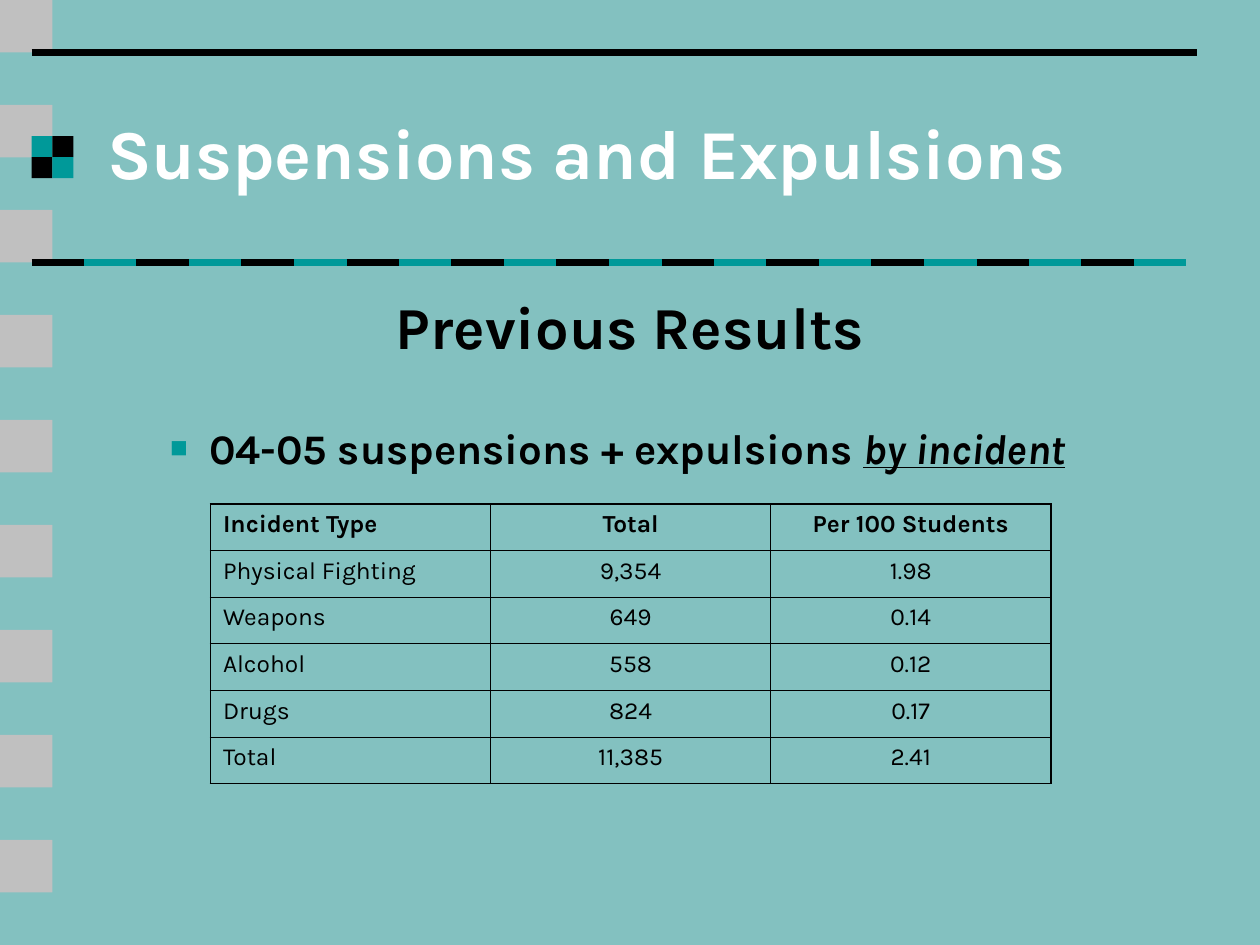
from dataclasses import dataclass

from lxml import etree
from pptx import Presentation
from pptx.dml.color import RGBColor
from pptx.enum.shapes import MSO_CONNECTOR, MSO_SHAPE
from pptx.enum.text import MSO_ANCHOR, MSO_AUTO_SIZE, PP_ALIGN
from pptx.oxml.ns import qn
from pptx.util import Inches, Pt

LEFT, CENTER = PP_ALIGN.LEFT, PP_ALIGN.CENTER
MIDDLE, NO_AUTOFIT = MSO_ANCHOR.MIDDLE, MSO_AUTO_SIZE.NONE
RECTANGLE, STRAIGHT = MSO_SHAPE.RECTANGLE, MSO_CONNECTOR.STRAIGHT

FONT = "Karla"
COLORS = {
    "background": "83C1C0",
    "edge": "C0C0C0",
    "accent": "009999",
    "dark": "000000",
    "title": "FFFFFF",
}
STEP = 5 / 12
CHECK = STEP * 0.4
MARGIN = 0.25
OUTER_BORDER, INNER_BORDER = 1.08, 0.45

INCIDENTS = [
    ("Incident Type", "Total", "Per 100 Students"),
    ("Physical Fighting", "9,354", "1.98"),
    ("Weapons", "649", "0.14"),
    ("Alcohol", "558", "0.12"),
    ("Drugs", "824", "0.17"),
    ("Total", "11,385", "2.41"),
]


@dataclass
class Square:
    left: float
    top: float
    size: float
    color: str


@dataclass
class Rule:
    start: float
    end: float
    top: float
    color: str


def rgb(name: str) -> RGBColor:
    return RGBColor.from_string(COLORS[name])


def draw_square(slide, square: Square) -> None:
    left, top, size = (Inches(v) for v in (square.left, square.top, square.size))
    shape = slide.shapes.add_shape(RECTANGLE, left, top, size, size)
    shape.shadow.inherit = False
    shape.fill.solid()
    shape.fill.fore_color.rgb = rgb(square.color)
    shape.line.fill.background()


def draw_rule(slide, rule: Rule) -> None:
    top = Inches(rule.top)
    line = slide.shapes.add_connector(
        STRAIGHT, Inches(rule.start), top, Inches(rule.end), top)
    line.line.color.rgb = rgb(rule.color)
    line.line.width = Pt(4.5)
    etree.SubElement(line._element.spPr, qn("a:effectLst"))


def add_text(paragraph, text: str, color: str = "dark", **formats) -> None:
    run = paragraph.add_run()
    run.text = text
    run.font.color.rgb = rgb(color)
    for name, value in {"name": FONT, "bold": True, **formats}.items():
        setattr(run.font, name, value)


def set_bullet(paragraph, indent: float = 0, hanging: float = 0,
               char: str = "") -> None:
    """Set the indents and a square bullet, or no bullet when char is empty."""
    props = paragraph._p.get_or_add_pPr()
    props.set("marL", str(Inches(indent)))
    props.set("indent", str(-Inches(hanging)))
    if not char:
        etree.SubElement(props, qn("a:buNone"))
        return
    color = etree.SubElement(props, qn("a:buClr"))
    etree.SubElement(color, qn("a:srgbClr"), val=COLORS["accent"])
    etree.SubElement(props, qn("a:buSzPct"), val="70000")
    etree.SubElement(props, qn("a:buChar"), char=char)


def place(shape, left: float, top: float, width: float, height: float) -> None:
    shape.left, shape.top = Inches(left), Inches(top)
    shape.width, shape.height = Inches(width), Inches(height)
    shape.text_frame.auto_size = NO_AUTOFIT
    shape.text_frame.word_wrap = True


def set_borders(cell, widths: dict[str, float]) -> None:
    props = cell._tc.get_or_add_tcPr()
    for position, (side, width) in enumerate(widths.items()):
        border = etree.Element(qn(f"a:{side}"), w=str(Pt(width)))
        fill = etree.SubElement(border, qn("a:solidFill"))
        etree.SubElement(fill, qn("a:srgbClr"), val=COLORS["dark"])
        props.insert(position, border)


def draw_decoration(slide) -> None:
    for i in range(9):
        draw_square(slide, Square(0, 2 * i * STEP, STEP, "edge"))
    draw_rule(slide, Rule(MARGIN, 9.5, STEP, "dark"))
    for row in range(2):
        for col in range(2):
            color = "accent" if row == col else "dark"
            draw_square(slide, Square(MARGIN + col * CHECK, 1.08 + row * CHECK,
                                      CHECK, color))
    for i in range(22):
        start = MARGIN + i * STEP
        color = "accent" if i % 2 else "dark"
        draw_rule(slide, Rule(start, start + STEP, 5 * STEP, color))


def write_title(title) -> None:
    place(title, 0.75, 0.58, 8.5, 1.25)
    title.text_frame.vertical_anchor = MIDDLE
    heading = title.text_frame.paragraphs[0]
    heading.alignment = LEFT
    add_text(heading, "Suspensions and Expulsions", "title", size=Pt(40))


def write_body(body) -> None:
    place(body, 0.75, 2.25, 8.5, 4.5)
    subtitle = body.text_frame.paragraphs[0]
    set_bullet(subtitle)
    subtitle.alignment = CENTER
    subtitle.space_before = Pt(0)
    add_text(subtitle, "Previous Results", size=Pt(34))

    topic = body.text_frame.add_paragraph()
    topic.level = 1
    set_bullet(topic, 0.81, 0.31, "■")
    topic.space_before = Pt(35)
    add_text(topic, "04-05 suspensions + expulsions ", size=Pt(24))
    add_text(topic, "by incident", size=Pt(24), italic=True, underline=True)


def draw_incident_table(slide) -> None:
    row_count, col_count = len(INCIDENTS), len(INCIDENTS[0])
    table = slide.shapes.add_table(
        row_count, col_count, Inches(1.67), Inches(4),
        Inches(6.67), Inches(0.37 * row_count)).table
    table.first_row = table.horz_banding = False
    for r, incident in enumerate(INCIDENTS):
        for c, value in enumerate(incident):
            cell = table.cell(r, c)
            cell.fill.background()
            outer_sides = {
                "lnL": c == 0,
                "lnR": c == col_count - 1,
                "lnT": r <= 1,
                "lnB": r in (0, row_count - 1),
            }
            set_borders(cell, {side: OUTER_BORDER if outer else INNER_BORDER
                               for side, outer in outer_sides.items()})
            paragraph = cell.text_frame.paragraphs[0]
            paragraph.alignment = CENTER if c else LEFT
            add_text(paragraph, value, size=Pt(14), bold=r == 0)


def main() -> None:
    deck = Presentation()
    deck.slide_width, deck.slide_height = Inches(10), Inches(7.5)
    slide = deck.slides.add_slide(deck.slide_layouts[1])
    slide.background.fill.solid()
    slide.background.fill.fore_color.rgb = rgb("background")
    draw_decoration(slide)
    write_title(slide.shapes.title)
    write_body(slide.placeholders[1])
    draw_incident_table(slide)
    deck.save("out.pptx")


if __name__ == "__main__":
    main()
